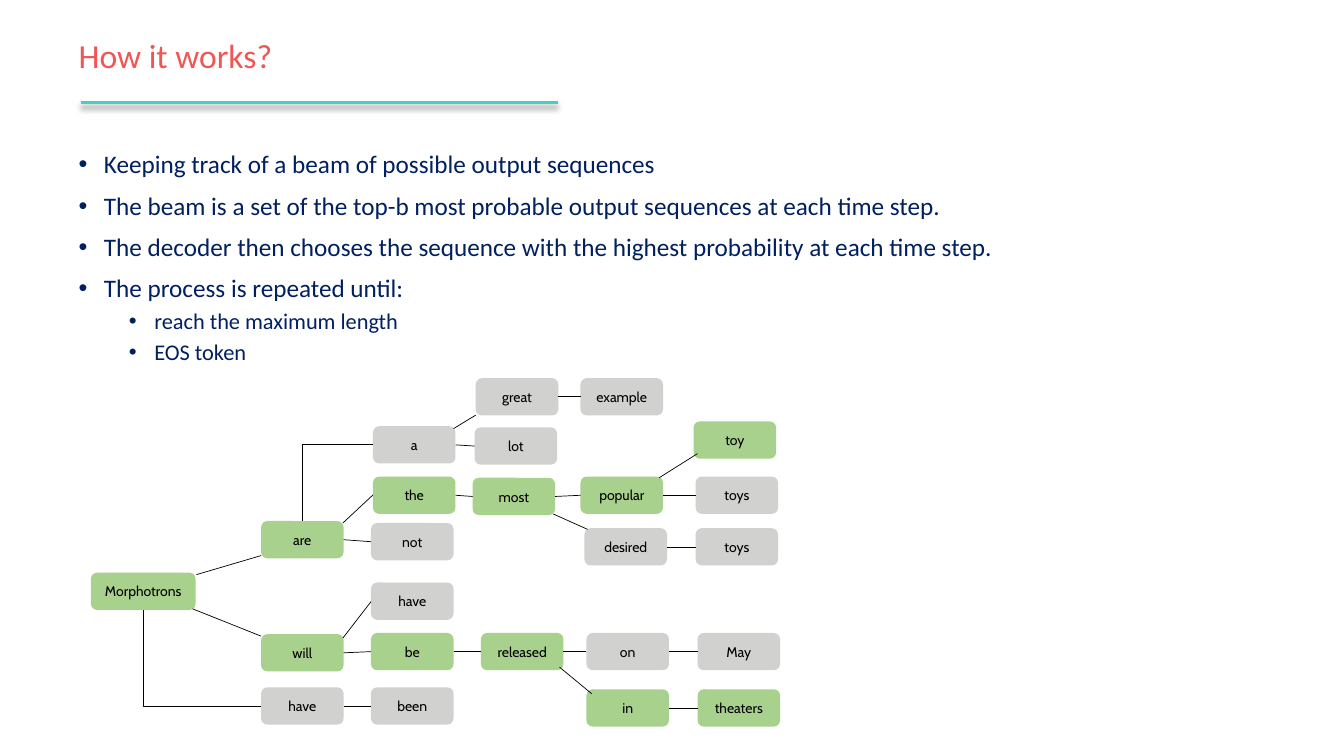
import dataclasses

import lxml.etree
import pptx
import pptx.dml.color
import pptx.enum.shapes
import pptx.enum.text
import pptx.oxml
import pptx.oxml.ns
import pptx.util

Cm, Pt = pptx.util.Cm, pptx.util.Pt
Color = pptx.dml.color.RGBColor.from_string
Align = pptx.enum.text.PP_ALIGN
Anchor = pptx.enum.text.MSO_ANCHOR
Connector = pptx.enum.shapes.MSO_CONNECTOR
qn = pptx.oxml.ns.qn


@dataclasses.dataclass(frozen=True)
class Theme:
    title: str = "F05654"
    rule: str = "43D0CA"
    body: str = "002060"
    ink: str = "000000"
    kept: str = "A9D18E"
    dropped: str = "D1D1CF"
    text_font: str = "Calibri"
    node_font: str = "Cabin"
    title_size: int = 24
    body_sizes: tuple = (18, 16)
    node_size: int = 10


theme = Theme()


def style_text(para, font_name, size, color, **layout):
    font_values = {"name": font_name, "size": Pt(size)}
    for target, values in ((para.font, font_values), (para, layout)):
        for name, value in values.items():
            setattr(target, name, value)
    para.font.color.rgb = Color(color)


def draw_line(points, color=theme.ink, width=0.5, kind=Connector.STRAIGHT):
    """Draw a connector without shadow and return it with its effect list."""
    line = slide.shapes.add_connector(kind, *map(Cm, points))
    line.line.color.rgb = Color(color)
    line.line.width = Pt(width)
    effects = lxml.etree.SubElement(line._element.spPr, qn("a:effectLst"))
    return line, effects


deck = pptx.Presentation()
deck.slide_width, deck.slide_height = Cm(33.87), Cm(19.05)
slide = deck.slides.add_slide(deck.slide_layouts[5])

# Title and its rule
title = slide.shapes.title
title_place = {"left": Cm(1.73), "top": Cm(-0.38), "width": Cm(29.21), "height": Cm(3.68)}
for name, value in title_place.items():
    setattr(title, name, value)
title.text_frame.text = "How it works?"
title.text_frame.vertical_anchor = Anchor.MIDDLE
style_text(title.text_frame.paragraphs[0], theme.text_font, theme.title_size,
           theme.title, alignment=Align.LEFT, line_spacing=0.9)

rule, rule_effects = draw_line((2.03, 2.59, 14.05, 2.59), theme.rule, 2.25)
rule_effects.append(pptx.oxml.parse_xml(
    f'<a:outerShdw {pptx.oxml.ns.nsdecls("a")} blurRad="{Pt(4)}" dist="{Pt(3)}" '
    'dir="5400000" rotWithShape="0"><a:srgbClr val="000000">'
    '<a:alpha val="40000"/></a:srgbClr></a:outerShdw>'))

# Bullets
bullets = [
    (0, "Keeping track of a beam of possible output sequences"),
    (0, "The beam is a set of the top-b most probable output sequences at each time step."),
    (0, "The decoder then chooses the sequence with the highest probability at each time step."),
    (0, "The process is repeated until:"),
    (1, "reach the maximum length"),
    (1, "EOS token"),
]
body = slide.shapes.add_textbox(Cm(1.73), Cm(3.71), Cm(28.42), Cm(14.88)).text_frame
body.word_wrap = True
for index, (level, words) in enumerate(bullets):
    para = body.add_paragraph() if index else body.paragraphs[0]
    para.text = words
    style_text(para, theme.text_font, theme.body_sizes[level], theme.body,
               level=level, line_spacing=0.9, space_before=Pt((10, 5)[level]))
    properties = para._p.get_or_add_pPr()
    properties.set("marL", str(Cm((0.64, 1.91)[level])))
    properties.set("indent", str(Cm(-0.64)))
    bullet_font = lxml.etree.Element(qn("a:buFont"), typeface="Arial")
    bullet_mark = lxml.etree.Element(qn("a:buChar"), char="•")
    default_run = properties.find(qn("a:defRPr"))
    default_run.addprevious(bullet_font)
    default_run.addprevious(bullet_mark)

# Beam search tree: the last word of each key is shown
kept_words = {
    "Morphotrons": (2.29, 14.43),
    "are": (6.58, 13.13),
    "will": (6.58, 15.98),
    "be": (9.35, 15.95),
    "released": (12.12, 15.95),
    "in": (14.78, 17.37),
    "theaters": (17.58, 17.37),
    "the": (9.4, 12.01),
    "most": (11.91, 12.04),
    "popular": (14.63, 12.01),
    "toy": (17.48, 10.62),
}
dropped_words = {
    "on": (14.78, 15.95),
    "May": (17.58, 15.95),
    "Morphotrons have": (6.58, 17.32),
    "been": (9.35, 17.32),
    "will have": (9.35, 14.68),
    "not": (9.35, 13.18),
    "popular toys": (17.53, 12.01),
    "a": (9.4, 10.74),
    "lot": (11.96, 10.77),
    "great": (11.99, 9.53),
    "example": (14.63, 9.53),
    "desired": (14.73, 13.31),
    "desired toys": (17.53, 13.31),
}
nodes = {}
for fill, group in ((theme.kept, kept_words), (theme.dropped, dropped_words)):
    for key, (left, top) in group.items():
        width = 2.64 if key == "Morphotrons" else 2.08
        node = slide.shapes.add_shape(pptx.enum.shapes.MSO_SHAPE.ROUNDED_RECTANGLE,
                                      Cm(left), Cm(top), Cm(width), Cm(0.94))
        node.shadow.inherit = False
        node.fill.solid()
        node.fill.fore_color.rgb = Color(fill)
        node.line.fill.background()
        node.text_frame.text = key.split()[-1]
        node.text_frame.vertical_anchor = Anchor.MIDDLE
        style_text(node.text_frame.paragraphs[0], theme.node_font, theme.node_size,
                   theme.ink, alignment=Align.CENTER)
        nodes[key] = node

# Connection sites of a rounded rectangle
TOP, LEFT, BOTTOM, RIGHT = range(4)

level_chains = [
    ("Morphotrons have", "been"),
    ("will", "be", "released", "on", "May"),
    ("in", "theaters"),
    ("are", "not"),
    ("the", "most", "popular", "popular toys"),
    ("a", "lot"),
    ("great", "example"),
    ("desired", "desired toys"),
]
for chain in level_chains:
    for parent, child in zip(chain, chain[1:]):
        link, _ = draw_line((0, 0, 0, 0))
        link.begin_connect(nodes[parent], RIGHT)
        link.end_connect(nodes[child], LEFT)

for child, parent, side in (("Morphotrons have", "Morphotrons", BOTTOM), ("a", "are", TOP)):
    elbow, _ = draw_line((0, 0, 0, 0), kind=Connector.ELBOW)
    elbow.begin_connect(nodes[child], LEFT)
    elbow.end_connect(nodes[parent], side)
    elbow._element.spPr.find(qn("a:prstGeom")).set("prst", "bentConnector2")

diagonals = [
    (4.95, 14.48, 6.58, 14),
    (4.85, 15.34, 6.58, 16.03),
    (8.64, 16.08, 9.35, 15.16),
    (8.64, 13.18, 9.4, 12.47),
    (14.1, 16.81, 14.91, 17.48),
    (11.43, 10.8, 11.99, 10.46),
    (16.61, 12.04, 17.58, 11.43),
    (13.94, 12.95, 14.81, 13.34),
]
for points in diagonals:
    draw_line(points)

deck.save("out.pptx")
